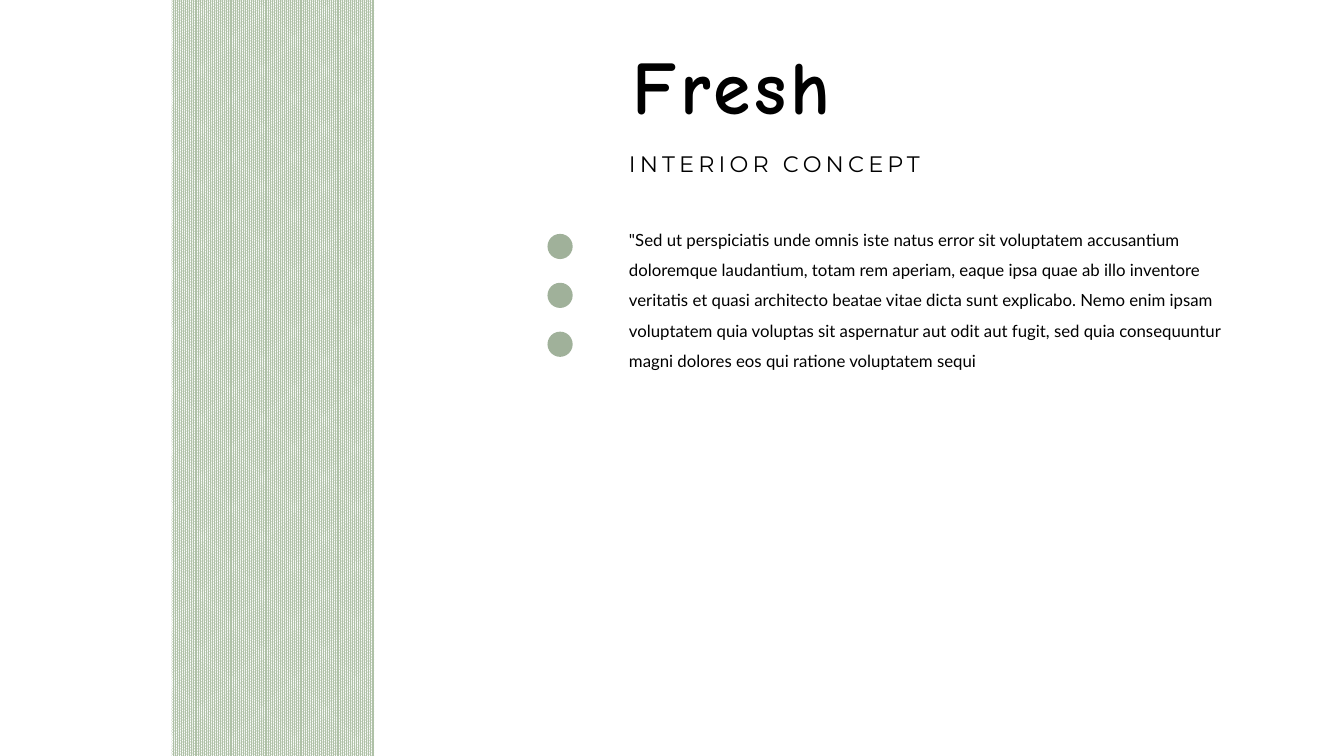
from dataclasses import dataclass

from pptx import Presentation
from pptx.dml.color import RGBColor
from pptx.enum.dml import MSO_PATTERN
from pptx.enum.shapes import MSO_SHAPE
from pptx.enum.text import MSO_ANCHOR, MSO_AUTO_SIZE
from pptx.util import Inches, Pt


@dataclass(frozen=True)
class Theme:
    """Colours, fonts and type sizes of the slide."""
    ink: RGBColor = RGBColor(0x00, 0x00, 0x00)
    paper: RGBColor = RGBColor(0xFF, 0xFF, 0xFF)
    fabric: RGBColor = RGBColor(0xAF, 0xC1, 0xA7)
    dot: RGBColor = RGBColor(0xA0, 0xB1, 0x9A)
    title_font: str = "Comic Neue"
    subtitle_font: str = "Montserrat"
    body_font: str = "Lato"
    title_size: int = 54
    subtitle_size: int = 16
    body_size: int = 12
    tracking: int = 3


THEME = Theme()
SLIDE_WIDTH, SLIDE_HEIGHT = 13.33, 7.5
DOT_COUNT, DOT_SIZE, DOT_PITCH = 3, 0.25, 0.485
BODY = (
    '"Sed ut perspiciatis unde omnis iste natus error sit voluptatem accusantium '
    "doloremque laudantium, totam rem aperiam, eaque ipsa quae ab illo inventore "
    "veritatis et quasi architecto beatae vitae dicta sunt explicabo. Nemo enim "
    "ipsam voluptatem quia voluptas sit aspernatur aut odit aut fugit, sed quia "
    "consequuntur magni dolores eos qui ratione voluptatem sequi"
)


def add_plain_shape(slide, kind, left, top, width, height):
    """Add a preset shape without outline or shadow."""
    shape = slide.shapes.add_shape(
        kind, Inches(left), Inches(top), Inches(width), Inches(height))
    shape.shadow.inherit = False
    shape.line.fill.background()
    return shape


def add_fabric_band(slide, left, width):
    """Add the full-height band with a woven pattern."""
    band = add_plain_shape(
        slide, MSO_SHAPE.RECTANGLE, left, 0, width, SLIDE_HEIGHT)
    band.fill.patterned()
    band.fill.pattern = MSO_PATTERN.PERCENT_90
    band.fill.fore_color.rgb = THEME.fabric
    band.fill.back_color.rgb = THEME.paper


def add_dots(slide, left, top):
    """Add the evenly spaced column of dots."""
    for index in range(DOT_COUNT):
        dot = add_plain_shape(slide, MSO_SHAPE.OVAL, left,
                              top + index * DOT_PITCH, DOT_SIZE, DOT_SIZE)
        dot.fill.solid()
        dot.fill.fore_color.rgb = THEME.dot


def add_text(slide, box, text, font, size, bold=False, tracking=0, grow=False):
    """Add a wrapped one-paragraph text box and return its paragraph."""
    frame = slide.shapes.add_textbox(*map(Inches, box)).text_frame
    frame.word_wrap = True
    frame.vertical_anchor = MSO_ANCHOR.TOP
    frame.auto_size = (
        MSO_AUTO_SIZE.SHAPE_TO_FIT_TEXT if grow else MSO_AUTO_SIZE.NONE)
    paragraph = frame.paragraphs[0]
    run = paragraph.add_run()
    run.text = text
    run.font.name = font
    run.font.size = Pt(size)
    run.font.bold = bold
    run.font.color.rgb = THEME.ink
    if tracking:
        run.font._element.set("spc", str(tracking * 100))
    return paragraph


def main():
    """Build and save the slide."""
    deck = Presentation()
    deck.slide_width = Inches(SLIDE_WIDTH)
    deck.slide_height = Inches(SLIDE_HEIGHT)
    slide = deck.slides.add_slide(deck.slide_layouts[6])
    slide.background.fill.solid()
    slide.background.fill.fore_color.rgb = THEME.paper

    add_fabric_band(slide, left=1.7, width=2.01)
    add_dots(slide, left=5.43, top=2.32)
    add_text(slide, (6.18, 0.34, 5.67, 1.01), "Fresh", THEME.title_font,
             THEME.title_size, bold=True, tracking=THEME.tracking, grow=True)
    add_text(slide, (6.14, 1.44, 5.67, 0.37), "INTERIOR CONCEPT",
             THEME.subtitle_font, THEME.subtitle_size,
             tracking=THEME.tracking, grow=True)
    body = add_text(slide, (6.14, 2.13, 6.36, 1.86), BODY,
                    THEME.body_font, THEME.body_size)
    body.line_spacing = 1.5
    body.space_before = Pt(10)

    deck.save("out.pptx")


main()
